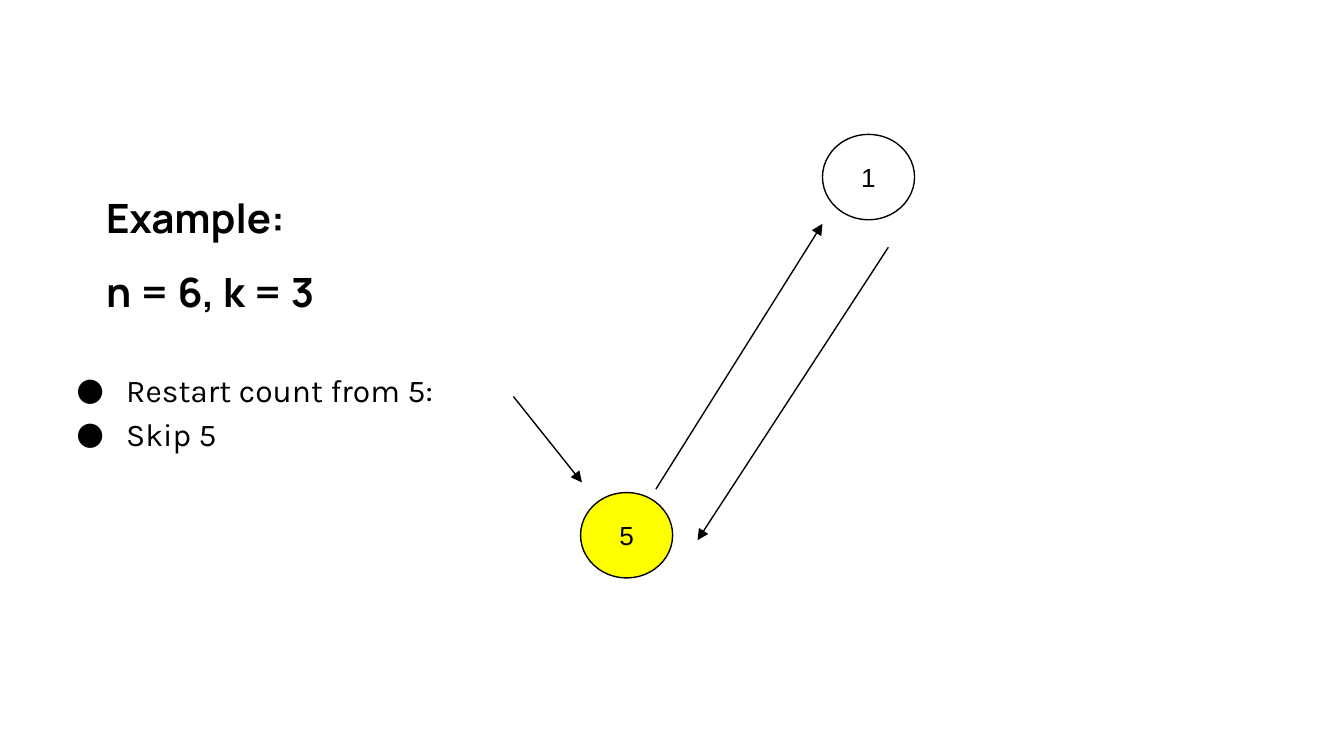
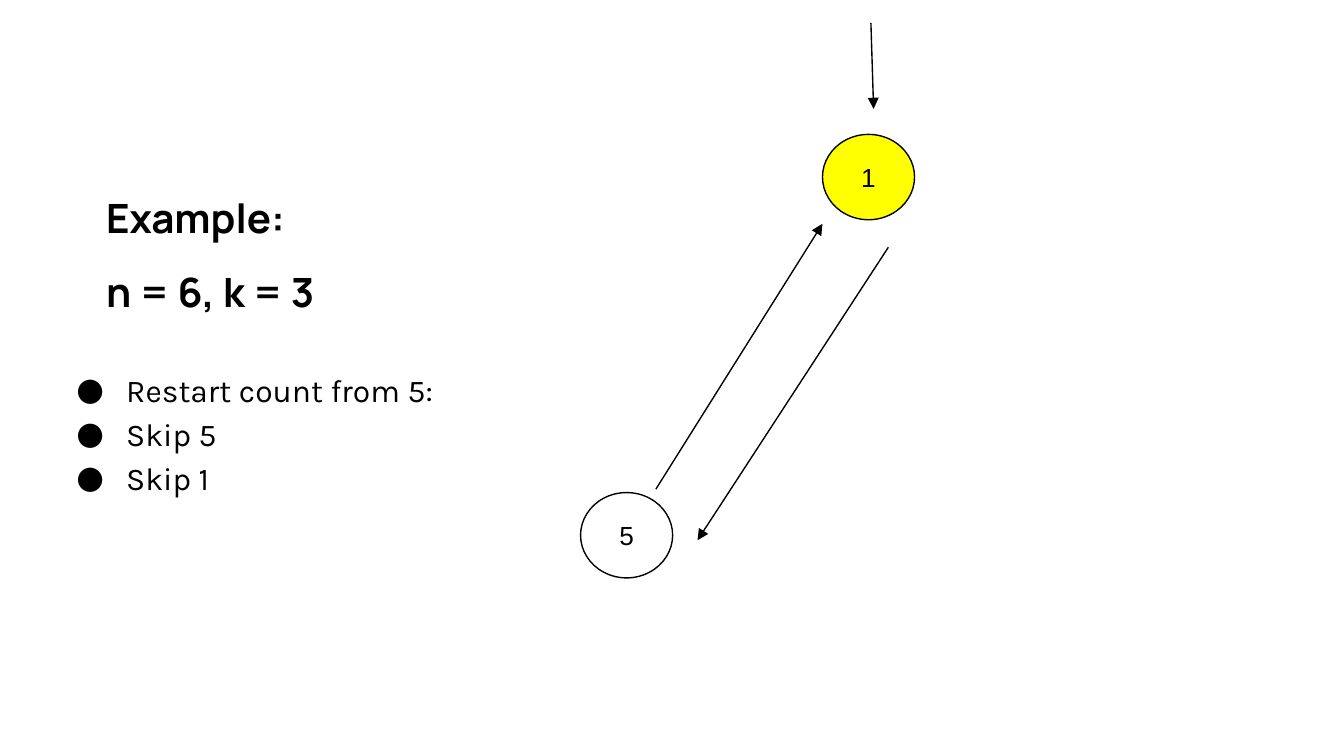
from lxml.etree import SubElement as Sub
from pptx import Presentation
from pptx.dml.color import RGBColor
from pptx.enum.shapes import MSO_CONNECTOR as Link, MSO_SHAPE as Shape
from pptx.enum.text import MSO_ANCHOR as Anchor, MSO_AUTO_SIZE as Fit, PP_ALIGN as Align
from pptx.oxml.ns import qn
from pptx.util import Pt

SCALE = 4572  # EMU per px, 200 px to the inch
BLACK, YELLOW = "000000", "FFFF00"
NODES = {"1": (1224, 200), "5": (864, 733)}
LOOP = [((1322, 368), (1038, 804)), ((976, 728), (1224, 333))]
STEPS = ["Restart count from 5:", "Skip 5", "Skip 1"]


def px(n):
    return n * SCALE


def color(code):
    return RGBColor.from_string(code)


def place(shape, left, top, width, height):
    shape.left, shape.top = px(left), px(top)
    shape.width, shape.height = px(width), px(height)


def fill_text(frame, lines, font, size, align, anchor, bold=False):
    """Write the lines as paragraphs in one style and return the paragraphs."""
    frame.text = "\n".join(lines)
    frame.word_wrap, frame.auto_size = True, Fit.NONE
    frame.vertical_anchor = anchor
    frame.margin_left = frame.margin_right = px(20)
    frame.margin_top = frame.margin_bottom = px(20)
    for par in frame.paragraphs:
        par.alignment = align
        par.font.name, par.font.size, par.font.bold = font, Pt(size), bold
        par.font.color.rgb = color(BLACK)
    return frame.paragraphs


def add_title(slide):
    title = slide.shapes.title
    place(title, 138, 276, 614, 214)
    pars = fill_text(title.text_frame, ["Example:", "n = 6, k = 3"],
                     "Manrope", 21.6, Align.LEFT, Anchor.BOTTOM, bold=True)
    for par in pars:
        par.line_spacing = 0.9
    pars[1].space_before = Pt(16)


def add_steps(slide, steps):
    box = slide.shapes.add_textbox(px(68), px(524), px(614), px(476))
    for par in fill_text(box.text_frame, steps, "Karla", 17, Align.LEFT, Anchor.TOP):
        par.line_spacing = 1.15
        props = par._p.get_or_add_pPr()
        props.set("marL", str(px(100)))
        props.set("indent", str(px(-74)))
        tint = Sub(props, qn("a:buClr"))
        Sub(tint, qn("a:srgbClr"), val=BLACK)
        Sub(props, qn("a:buFont"), typeface="Karla")
        Sub(props, qn("a:buChar"), char="●")


def add_node(slide, label, lit):
    left, top = NODES[label]
    node = slide.shapes.add_shape(Shape.OVAL, px(left), px(top), px(137), px(127))
    node.shadow.inherit = False
    if lit:
        node.fill.solid()
        node.fill.fore_color.rgb = color(YELLOW)
    else:
        node.fill.background()
    node.line.color.rgb = color(BLACK)
    node.line.width = Pt(0.75)
    fill_text(node.text_frame, [label], "Arial", 14, Align.CENTER, Anchor.MIDDLE)


def add_arrow(slide, start, end):
    ends = [px(n) for n in start + end]
    arrow = slide.shapes.add_connector(Link.STRAIGHT, *ends)
    arrow.line.color.rgb = color(BLACK)
    arrow.line.width = Pt(0.75)
    Sub(arrow.line._get_or_add_ln(), qn("a:tailEnd"), type="triangle")
    Sub(arrow._element.spPr, qn("a:effectLst"))


def add_state(deck, steps, current, pointer):
    """Add one slide of the count, with the current node lit and pointed at."""
    slide = deck.slides.add_slide(deck.slide_layouts[5])
    add_title(slide)
    add_steps(slide, steps)
    for label in NODES:
        add_node(slide, label, label == current)
    for start, end in LOOP + [pointer]:
        add_arrow(slide, start, end)


def main():
    deck = Presentation()
    deck.slide_width, deck.slide_height = px(2000), px(1125)
    add_state(deck, STEPS[:2], "5", ((764, 590), (866, 718)))
    add_state(deck, STEPS, "1", ((1296, 34), (1300, 162)))
    deck.save("out.pptx")


if __name__ == "__main__":
    main()
